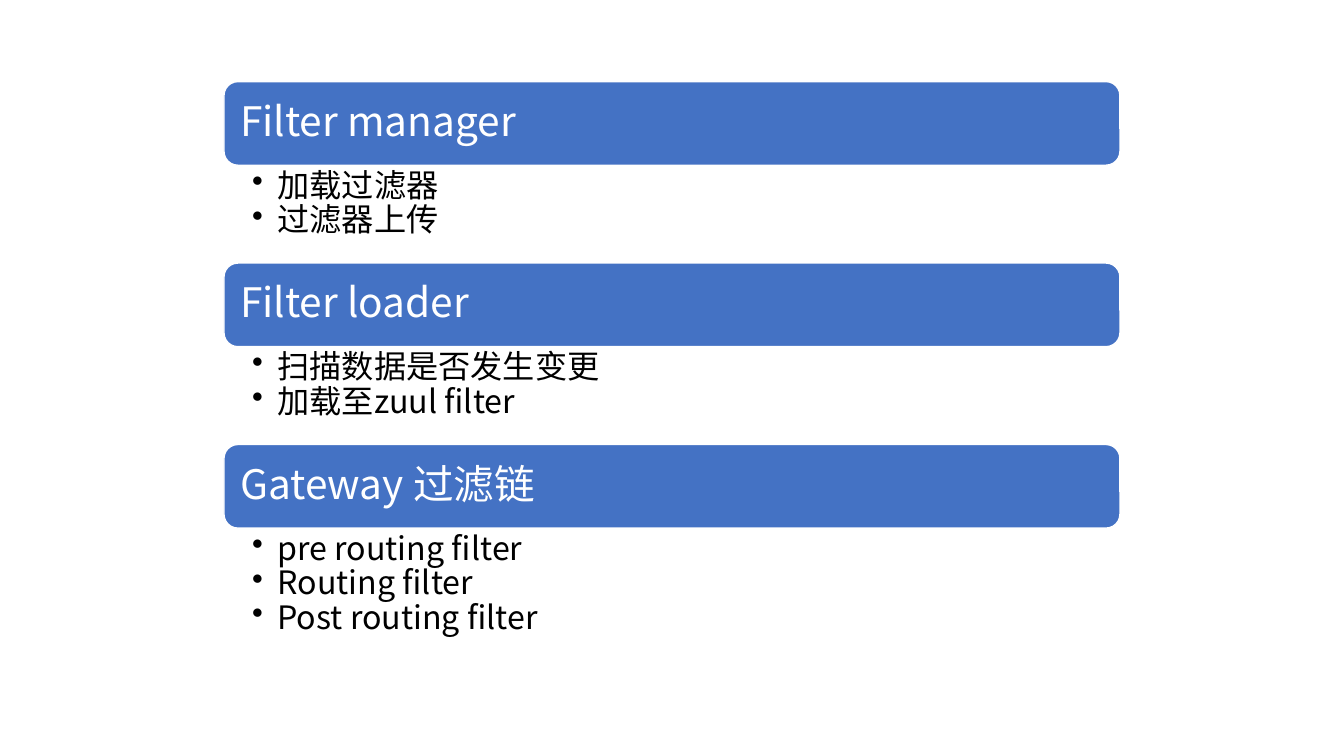
from pptx import Presentation
from pptx.dml.color import RGBColor
from pptx.enum.shapes import MSO_SHAPE
from pptx.enum.text import MSO_ANCHOR, PP_ALIGN
from pptx.oxml.ns import qn
from pptx.util import Inches, Pt
from lxml import etree

ROUNDED = MSO_SHAPE.ROUNDED_RECTANGLE
TOP, MIDDLE = MSO_ANCHOR.TOP, MSO_ANCHOR.MIDDLE
LEFT = PP_ALIGN.LEFT

COLORS = {"bar": "4472C4", "white": "FFFFFF", "text": "000000"}
FONT = "Noto Sans CJK SC"

# Slide
prs = Presentation()
prs.slide_width, prs.slide_height = Inches(13.33), Inches(7.5)
s = prs.slides.add_slide(prs.slide_layouts[6])

# Grid: the stack fills the middle four of six columns
COL = prs.slide_width / 6
X, W = int(COL), int(COL * 4)
TOP_Y, BAR_H = Inches(0.81), Inches(0.83)
LIST_H = {2: Inches(0.97), 3: Inches(1.44)}

SECTIONS = [
    ("Filter manager", ["加载过滤器", "过滤器上传"]),
    ("Filter loader", ["扫描数据是否发生变更", "加载至zuul filter"]),
    ("Gateway 过滤链", ["pre routing filter", "Routing filter", "Post routing filter"]),
]


def write(sp, lines, size, color, insets, anchor=TOP, bullet=None):
    """Fill a shape with one paragraph per line."""
    tf = sp.text_frame
    tf.word_wrap = True
    tf.vertical_anchor = anchor
    tf.margin_left, tf.margin_top, tf.margin_right, tf.margin_bottom = map(Inches, insets)
    for i, line in enumerate(lines):
        p = tf.paragraphs[0] if i == 0 else tf.add_paragraph()
        p.alignment = LEFT
        p.line_spacing = 0.9
        p.space_after = Pt(0)
        r = p.add_run()
        r.text = line
        r.font.size = Pt(size)
        r.font.name = FONT
        r.font.color.rgb = RGBColor.from_string(COLORS[color])
        etree.SubElement(r.font._element, qn("a:ea")).set("typeface", FONT)
        if bullet:
            p.level = 1
            pPr = p._p.get_or_add_pPr()
            pPr.set("marL", str(Inches(0.25)))
            pPr.set("indent", str(-Inches(0.25)))
            etree.SubElement(pPr, qn("a:buChar")).set("char", bullet)


# Heading bars, each followed by its list
y = TOP_Y
for heading, items in SECTIONS:
    bar = s.shapes.add_shape(ROUNDED, X, y, W, BAR_H)
    bar.shadow.inherit = False
    bar.fill.solid()
    bar.fill.fore_color.rgb = RGBColor.from_string(COLORS["bar"])
    bar.line.color.rgb = RGBColor.from_string(COLORS["white"])
    bar.line.width = Pt(1)
    write(bar, [heading], 29, "white", (0.12, 0.12, 0.12, 0.12), anchor=MIDDLE)
    y += BAR_H

    height = LIST_H[len(items)]
    box = s.shapes.add_textbox(X, y, W, height)
    write(box, items, 23, "text", (0.28, 0.04, 0.23, 0.04), bullet="•")
    y += height

prs.save("out.pptx")
